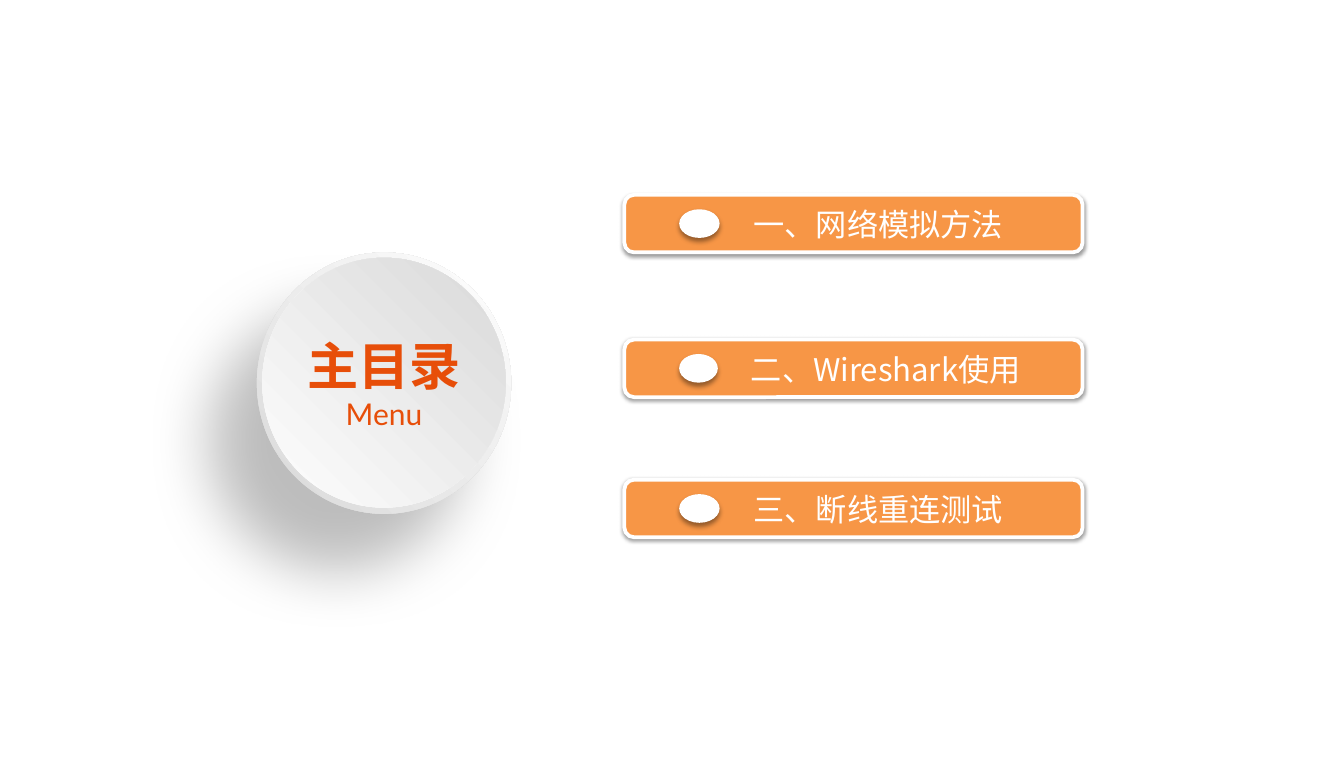
from lxml.etree import SubElement
from pptx import Presentation
from pptx.dml.color import RGBColor
from pptx.enum.shapes import MSO_SHAPE
from pptx.enum.text import MSO_ANCHOR, PP_ALIGN
from pptx.oxml.ns import qn
from pptx.util import Pt

WHITE = RGBColor(0xFF, 0xFF, 0xFF)
PEARL = RGBColor(0xFE, 0xFE, 0xFE)
GREY = RGBColor(0xD9, 0xD9, 0xD9)
ORANGE = RGBColor(0xF7, 0x96, 0x46)
RED = RGBColor(0xE7, 0x4E, 0x09)

CJK = "Noto Sans CJK SC"
TITLE = {"name": "Lato", "size": Pt(41), "bold": True}
SUB = {"name": "Lato", "size": Pt(24), "bold": False}
LABEL = {"name": CJK, "size": Pt(25)}

# Shadows: opacity in percent, blur, distance, angle
DISC_SHADE = (25, 50, 60, 130)
BAR_SHADE = (38, 3.1, 1.6, 90)
DOT_SHADE = (40, 4, 3, 90)

# Menu rows: bar top, dot width, label left, label width, label
ROWS = [
    (156.2, 32.4, 596.9, 270.7, "一、网络模拟方法"),
    (272.2, 31, 594.7, 244.8, "二、Wireshark使用"),
    (384.5, 32.4, 596.9, 270.7, "三、断线重连测试"),
]


def set_all(item, values):
    for name, value in values.items():
        setattr(item, name, value)


def add_shape(slide, kind, box, fill=None, shade=None):
    shape = slide.shapes.add_shape(kind, *map(Pt, box))
    shape.line.fill.background()
    shape.shadow.inherit = False
    if fill is not None:
        shape.fill.solid()
        shape.fill.fore_color.rgb = fill
    if shade:
        add_shade(shape, *shade)
    return shape


def add_shade(shape, alpha, blur, dist, angle):
    effects = shape._element.spPr.find(qn("a:effectLst"))
    outer = SubElement(effects, qn("a:outerShdw"), blurRad=str(Pt(blur)),
                       dist=str(Pt(dist)), dir=str(angle * 60000),
                       rotWithShape="0")
    color = SubElement(outer, qn("a:srgbClr"), val="000000")
    SubElement(color, qn("a:alpha"), val=str(alpha * 1000))


def add_disc(slide, box, colors, shade=None):
    disc = add_shape(slide, MSO_SHAPE.OVAL, box, shade=shade)
    disc.fill.gradient()
    for stop, color in zip(disc.fill.gradient_stops, colors):
        stop.color.rgb = color
    # Circular gradient that starts in the top right corner
    grad = disc._element.spPr.find(qn("a:gradFill"))
    grad.remove(grad.find(qn("a:lin")))
    circle = SubElement(grad, qn("a:path"), path="circle")
    SubElement(circle, qn("a:fillToRect"), l="100000", b="100000")
    return disc


def add_run(para, text, style, color):
    run = para.add_run()
    run.text = text
    run.font.color.rgb = color
    set_all(run.font, style)
    SubElement(run.font._element, qn("a:ea"), typeface=CJK)


def add_title(disc):
    frame = disc.text_frame
    set_all(frame, {"word_wrap": True, "vertical_anchor": MSO_ANCHOR.MIDDLE,
                    "margin_left": 0, "margin_right": 0})
    para = frame.paragraphs[0]
    para.alignment = PP_ALIGN.CENTER
    add_run(para, "主目录", TITLE, RED)
    para.add_line_break()
    add_run(para, "Menu", SUB, RED)


def add_row(slide, top, size, left, width, text):
    bar = add_shape(slide, MSO_SHAPE.ROUNDED_RECTANGLE,
                    (500.4, top, 367.2, 46.1), ORANGE, BAR_SHADE)
    bar.line.color.rgb = WHITE
    bar.line.width = Pt(3)
    add_shape(slide, MSO_SHAPE.OVAL, (544.3, top + 11.5, size, 23),
              WHITE, DOT_SHADE)
    box = slide.shapes.add_textbox(Pt(left), Pt(top + 5), Pt(width), Pt(37.4))
    box.text_frame.word_wrap = True
    add_run(box.text_frame.paragraphs[0], text, LABEL, WHITE)


def main():
    deck = Presentation()
    set_all(deck, {"slide_width": Pt(1077.1), "slide_height": Pt(623.5)})
    slide = deck.slides.add_slide(deck.slide_layouts[6])

    # Title disc: rim and face
    add_disc(slide, (205.9, 202.3, 203.8, 209.5), (WHITE, GREY), DISC_SHADE)
    face = add_disc(slide, (210.2, 206.6, 195.1, 200.2), (GREY, PEARL))
    add_title(face)

    # Menu
    for row in ROWS:
        add_row(slide, *row)

    deck.save("out.pptx")


if __name__ == "__main__":
    main()
